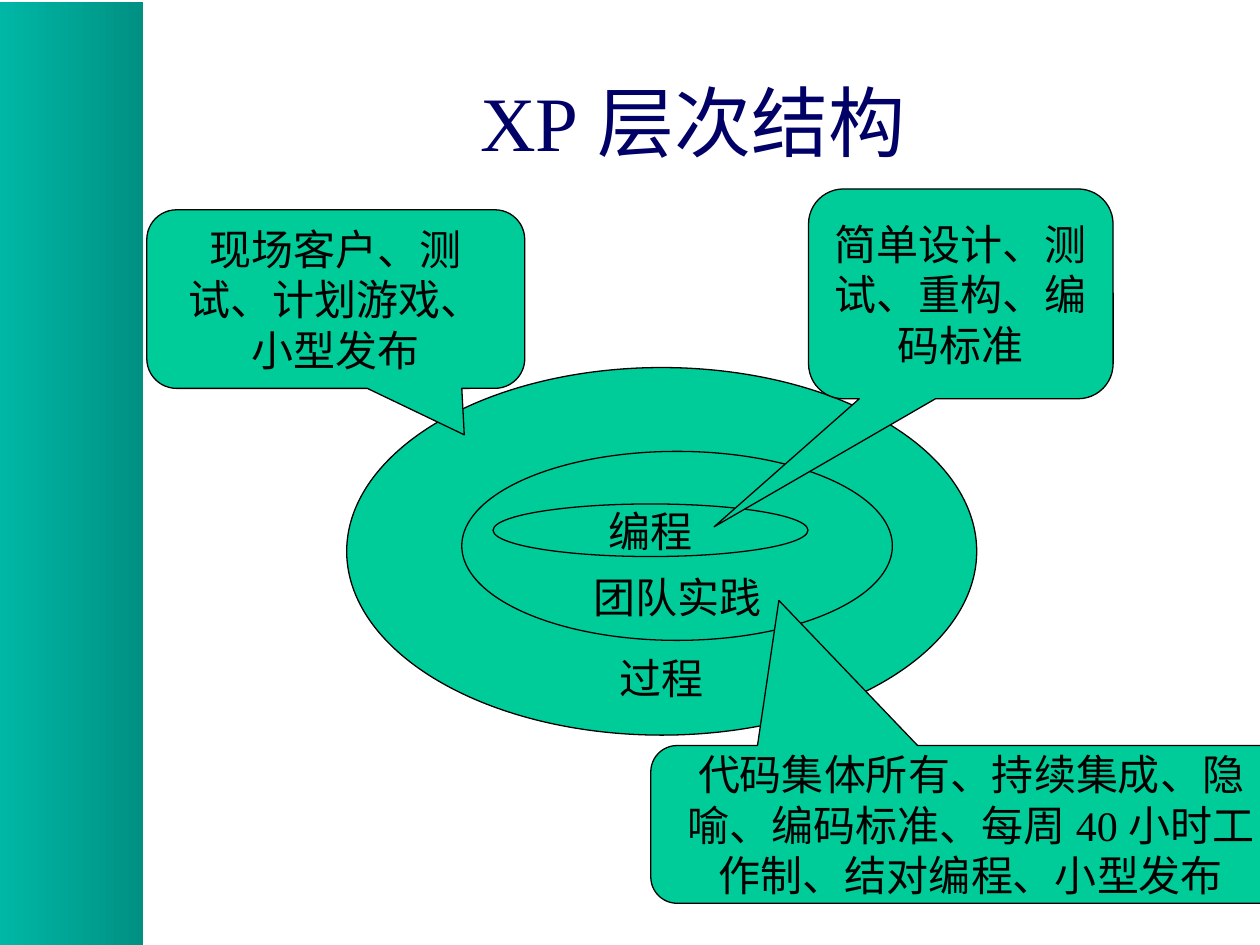
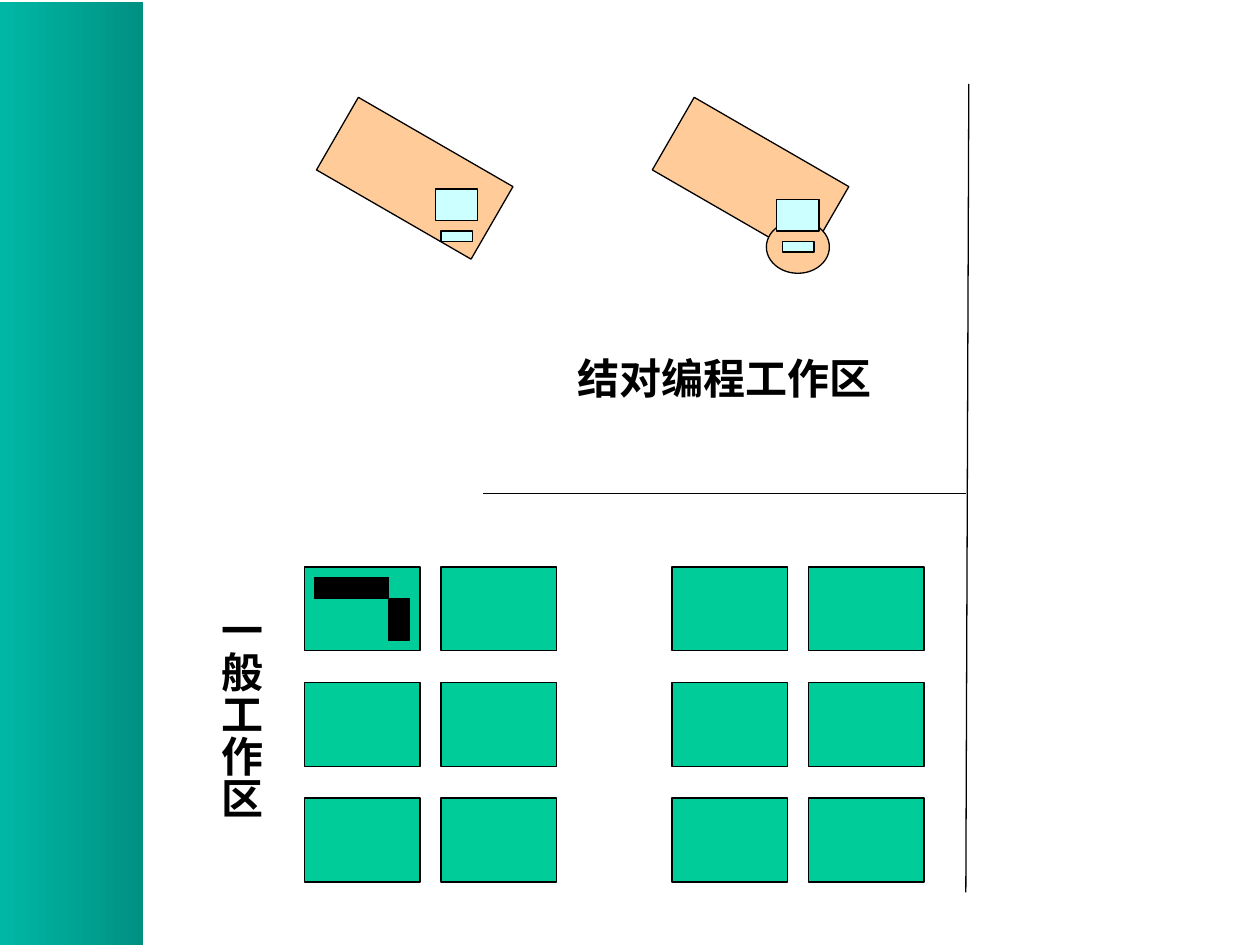
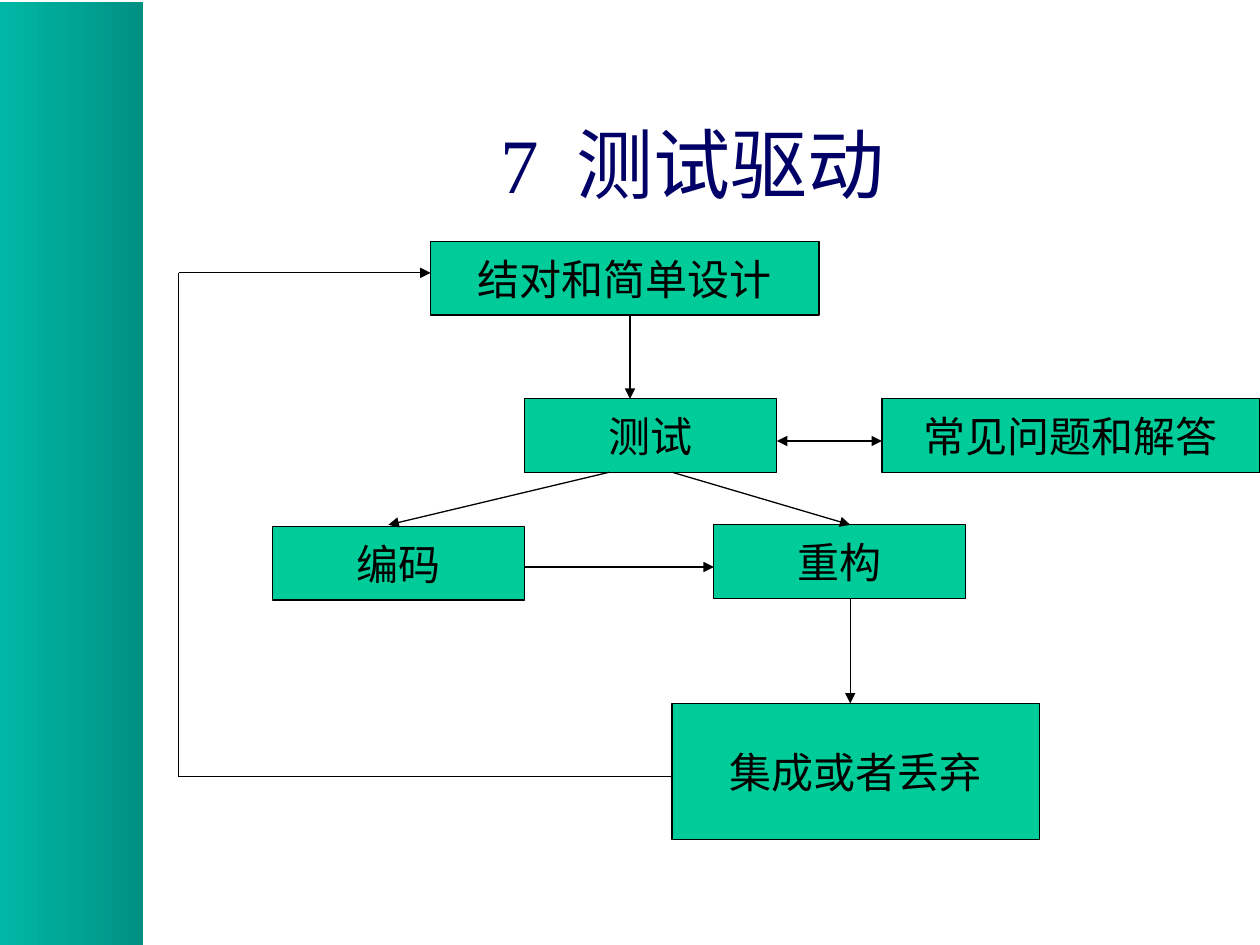
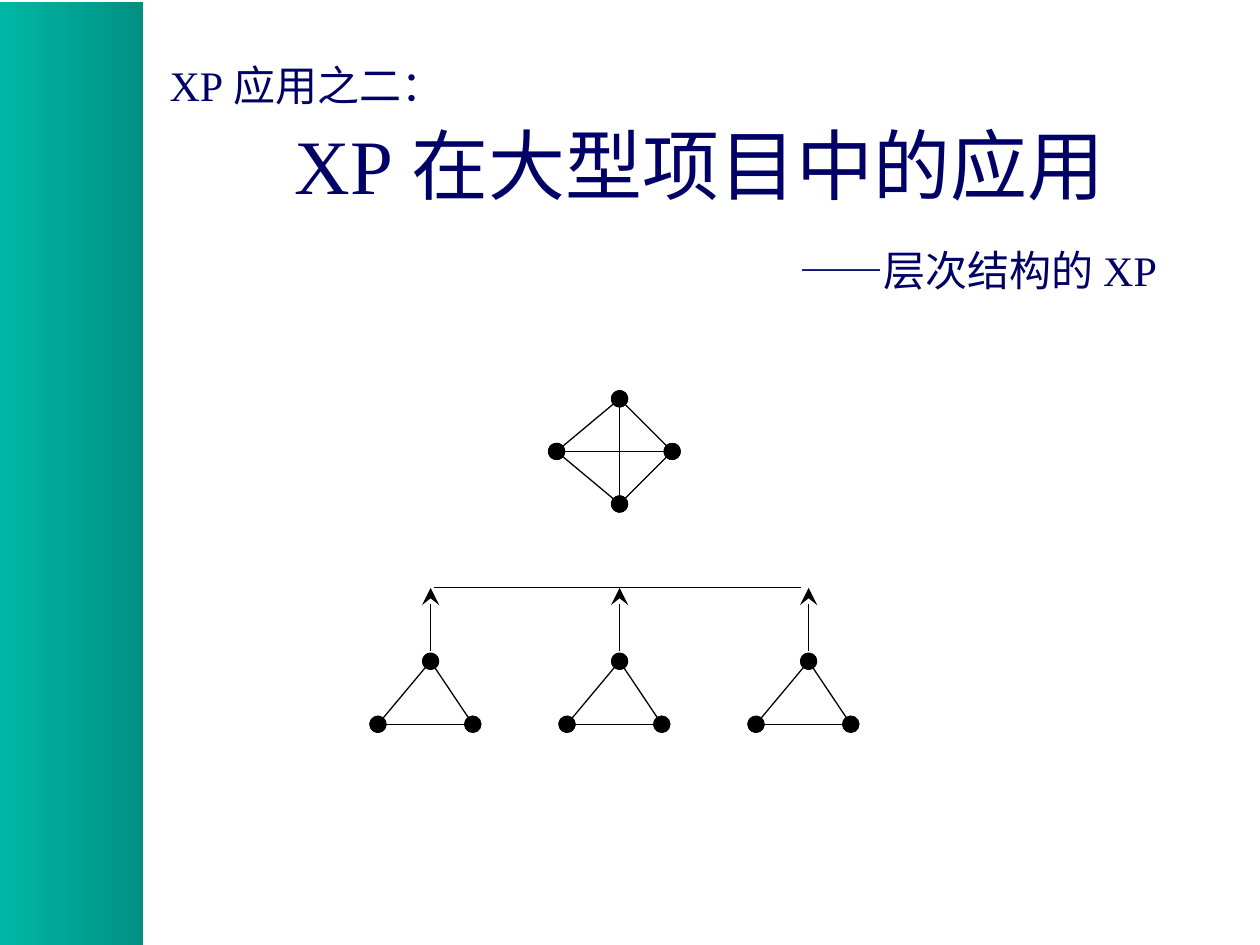
"""Build four slides on the layered structure, workspace, test flow and scaling of XP."""
from itertools import combinations, product

from lxml.etree import SubElement
from pptx import Presentation
from pptx.dml.color import RGBColor
from pptx.enum.shapes import MSO_CONNECTOR, MSO_SHAPE
from pptx.enum.text import MSO_ANCHOR, PP_ALIGN
from pptx.oxml.ns import qn
from pptx.util import Cm, Pt

GREEN, PEACH, AQUA = "00CC99", "FFCC99", "CCFFFF"
BLACK, NAVY = "000000", "000066"
BAND_STOPS = ("009183", "00B7A5")
SERIF, SANS = "Times New Roman", "Lato"
TITLE_SIZE, TEXT_SIZE = 44, 24

RINGS = [
    ("过程", (6.99, 7.41, 12.7, 7.41), 13.66),
    ("团队实践", (9.31, 9.1, 8.68, 3.81), 12.03),
    ("编程", (9.94, 10.16, 6.35, 1.06), None),
]
LABEL_WIDTH, LABEL_HEIGHT = 4, 1.27
CALLOUTS = [
    ("现场客户、测试、计划游戏、小型发布",
     (2.96, 4.23, 7.62, 3.6), (0.34, 0.76)),
    ("简单设计、测试、重构、编码标准",
     (16.3, 3.81, 6.14, 4.23), (-0.81, 1.11)),
    ("代码集体所有、持续集成、隐喻、编码标准、每周40小时工作制、结对编程、小型发布",
     (13.12, 15.03, 12.91, 3.18), (-0.3, -1.42)),
]

CUBICLE_BLOCKS, CUBICLE_STEP = (6.14, 13.55), (2.75, 2.33)
CUBICLE_TOP, CUBICLE_SIZE = 11.43, (2.33, 1.69)
WALLS = [((9.74, 9.95), (19.47, 9.95)), ((19.53, 1.69), (19.47, 17.99))]
CORNER_DESK = [(6.35, 11.64, 1.48, 0.42), (7.83, 12.06, 0.42, 0.85)]
PAIR_DESKS = [(6.56, 2.75, 3.6, 1.69), (13.33, 2.75, 3.6, 1.69)]
ROUND_TABLE = (15.45, 4.45, 1.27, 1.06)
COMPUTERS = [
    (8.89, 4.66, 0.64, 0.21), (8.78, 3.81, 0.85, 0.64),
    (15.77, 4.87, 0.64, 0.21), (15.66, 4.02, 0.85, 0.64),
]

STEPS = [
    ("结对和简单设计", (8.68, 4.87, 7.83, 1.48)),
    ("常见问题和解答", (17.78, 8.04, 7.62, 1.48)),
    ("测试", (10.58, 8.04, 5.08, 1.48)),
    ("编码", (5.5, 10.62, 5.08, 1.48)),
    ("重构", (14.39, 10.58, 5.08, 1.48)),
    ("集成或者丢弃", (13.55, 14.18, 7.41, 2.75)),
]
LOOP_TOP, LOOP_BOTTOM = (3.6, 5.5), (3.6, 15.66)
FLOWS = [
    ((12.7, 6.35), (12.7, 8.04), None, "triangle"),
    ((12.28, 9.52), (7.83, 10.58), None, "triangle"),
    ((13.55, 9.52), (17.14, 10.58), None, "triangle"),
    ((10.58, 11.43), (14.39, 11.43), None, "triangle"),
    ((17.14, 12.06), (17.14, 14.18), None, "triangle"),
    ((15.66, 8.89), (17.78, 8.89), "triangle", "triangle"),
    (LOOP_TOP, (8.68, 5.5), None, "triangle"),
    (LOOP_TOP, LOOP_BOTTOM, None, None),
    (LOOP_BOTTOM, (13.55, 15.66), None, None),
]

SCALING_TITLE = [
    ("XP应用之二：", TEXT_SIZE, 0, 0),
    ("XP在大型项目中的应用", TITLE_SIZE, 2.52, 4),
    ("——层次结构的XP", TEXT_SIZE, 12.69, 20),
]
LEAD_TEAM = [(11.22, 9.1), (12.49, 8.04), (13.55, 9.1), (12.49, 10.16)]
TEAM_CENTRES = (8.68, 12.49, 16.3)
TEAM_SHAPE = [(0, 13.33), (-1.06, 14.6), (0.85, 14.6)]
REPORT_LINE, REPORT_START = 11.85, 13.12


def color(value):
    return RGBColor.from_string(value)


def write_paragraph(paragraph, text, size=TEXT_SIZE, ink=BLACK, font=SERIF, bold=False):
    paragraph._p.get_or_add_pPr().set("hangingPunct", "0")
    run = paragraph.add_run()
    run.text = text
    run.font.name, run.font.size, run.font.bold = font, Pt(size), bold
    run.font.color.rgb = color(ink)


def write_centred(shape, text, wrap=True, **style):
    shape.text_frame.word_wrap = wrap
    paragraph = shape.text_frame.paragraphs[0]
    paragraph.alignment = PP_ALIGN.CENTER
    write_paragraph(paragraph, text, **style)


def add_box(slide, box, fill=GREEN, preset=MSO_SHAPE.RECTANGLE):
    shape = slide.shapes.add_shape(preset, *map(Cm, box))
    shape.shadow.inherit = False
    shape.fill.solid()
    shape.fill.fore_color.rgb = color(fill)
    shape.line.color.rgb = color(BLACK)
    shape.line.width = Pt(0.75)
    shape.text_frame.vertical_anchor = MSO_ANCHOR.MIDDLE
    return shape


def add_text_box(slide, box, anchor=MSO_ANCHOR.TOP):
    shape = slide.shapes.add_textbox(*map(Cm, box))
    shape.text_frame.word_wrap = True
    shape.text_frame.vertical_anchor = anchor
    return shape


def add_line(slide, start, end, head=None, tail=None, size="med"):
    connector = slide.shapes.add_connector(
        MSO_CONNECTOR.STRAIGHT, *map(Cm, (*start, *end)))
    connector.line.color.rgb = color(BLACK)
    connector.line.width = Pt(0.75)
    outline = connector.line._get_or_add_ln()
    for tag, kind in (("a:headEnd", head), ("a:tailEnd", tail)):
        if kind:
            SubElement(outline, qn(tag), type=kind, w=size, len=size)
    SubElement(connector._element.spPr, qn("a:effectLst"))


def add_slide(presentation):
    slide = presentation.slides.add_slide(presentation.slide_layouts[6])
    band = add_box(slide, (0, 0.04, 2.88, 19.01))
    band.line.fill.background()
    band.fill.gradient()
    band.fill.gradient_angle = 180
    for stop, value in zip(band.fill.gradient_stops, BAND_STOPS):
        stop.color.rgb = color(value)
    return slide


def add_title(slide, text, top):
    title = add_text_box(slide, (3.17, top, 21.59, 3.18), MSO_ANCHOR.MIDDLE)
    write_centred(title, text, size=TITLE_SIZE, ink=NAVY)


def build_layers(presentation):
    slide = add_slide(presentation)
    add_title(slide, "XP层次结构", 0.84)
    for text, box, label_middle in RINGS:
        target = add_box(slide, box, preset=MSO_SHAPE.OVAL)
        if label_middle:
            label_left = box[0] + (box[2] - LABEL_WIDTH) / 2
            label_top = label_middle - LABEL_HEIGHT / 2
            target = add_text_box(
                slide, (label_left, label_top, LABEL_WIDTH, LABEL_HEIGHT), MSO_ANCHOR.MIDDLE)
        write_centred(target, text, wrap=False)
    for text, box, pointer in CALLOUTS:
        callout = add_box(slide, box, preset=MSO_SHAPE.ROUNDED_RECTANGULAR_CALLOUT)
        callout.adjustments[0], callout.adjustments[1] = pointer
        write_centred(callout, text)


def build_workspace(presentation):
    slide = add_slide(presentation)
    step_x, step_y = CUBICLE_STEP
    for block, column, row in product(CUBICLE_BLOCKS, range(2), range(3)):
        add_box(slide, (block + column * step_x, CUBICLE_TOP + row * step_y, *CUBICLE_SIZE))
    for start, end in WALLS:
        add_line(slide, start, end)
    for box in CORNER_DESK:
        add_box(slide, box, BLACK)
    for box in PAIR_DESKS:
        add_box(slide, box, PEACH).rotation = 30
    add_box(slide, ROUND_TABLE, PEACH, MSO_SHAPE.OVAL)
    for box in COMPUTERS:
        add_box(slide, box, AQUA)
    write_centred(add_text_box(slide, (11, 6.99, 7.2, 1.27)), "结对编程工作区", bold=True)
    area = add_text_box(slide, (3.97, 12.04, 1.52, 5.5))
    frame = area.text_frame
    frame.margin_left = frame.margin_right = Cm(0.13)
    frame.margin_top = frame.margin_bottom = Cm(0.25)
    area._element.txBody.bodyPr.set("vert", "eaVert")
    write_centred(area, "一般工作区", bold=True)


def build_test_flow(presentation):
    slide = add_slide(presentation)
    add_title(slide, "7 测试驱动", 1.69)
    for text, box in STEPS:
        write_centred(add_box(slide, box), text, wrap=False, font=SANS)
    for start, end, head, tail in FLOWS:
        add_line(slide, start, end, head, tail)


def build_scaling(presentation):
    slide = add_slide(presentation)
    frame = add_text_box(slide, (3.17, 1.08, 21.59, 5)).text_frame
    for index, (text, size, indent, space) in enumerate(SCALING_TITLE):
        paragraph = frame.add_paragraph() if index else frame.paragraphs[0]
        if index:
            paragraph.space_before = Pt(space)
            paragraph._p.get_or_add_pPr().set("marL", str(Cm(indent)))
        write_paragraph(paragraph, text, size, NAVY)
    teams = [[(centre + x, y) for x, y in TEAM_SHAPE] for centre in TEAM_CENTRES]
    for team in (LEAD_TEAM, *teams):
        for start, end in combinations(team, 2):
            add_line(slide, start, end, "oval", "oval", "lg")
    add_line(slide, (8.74, REPORT_LINE), (16.14, REPORT_LINE))
    for centre in TEAM_CENTRES:
        add_line(slide, (centre, REPORT_START), (centre, REPORT_LINE),
                 tail="stealth", size="lg")


def main():
    presentation = Presentation()
    presentation.slide_width, presentation.slide_height = Cm(25.4), Cm(19.05)
    for build in (build_layers, build_workspace, build_test_flow, build_scaling):
        build(presentation)
    presentation.save("out.pptx")


if __name__ == "__main__":
    main()
